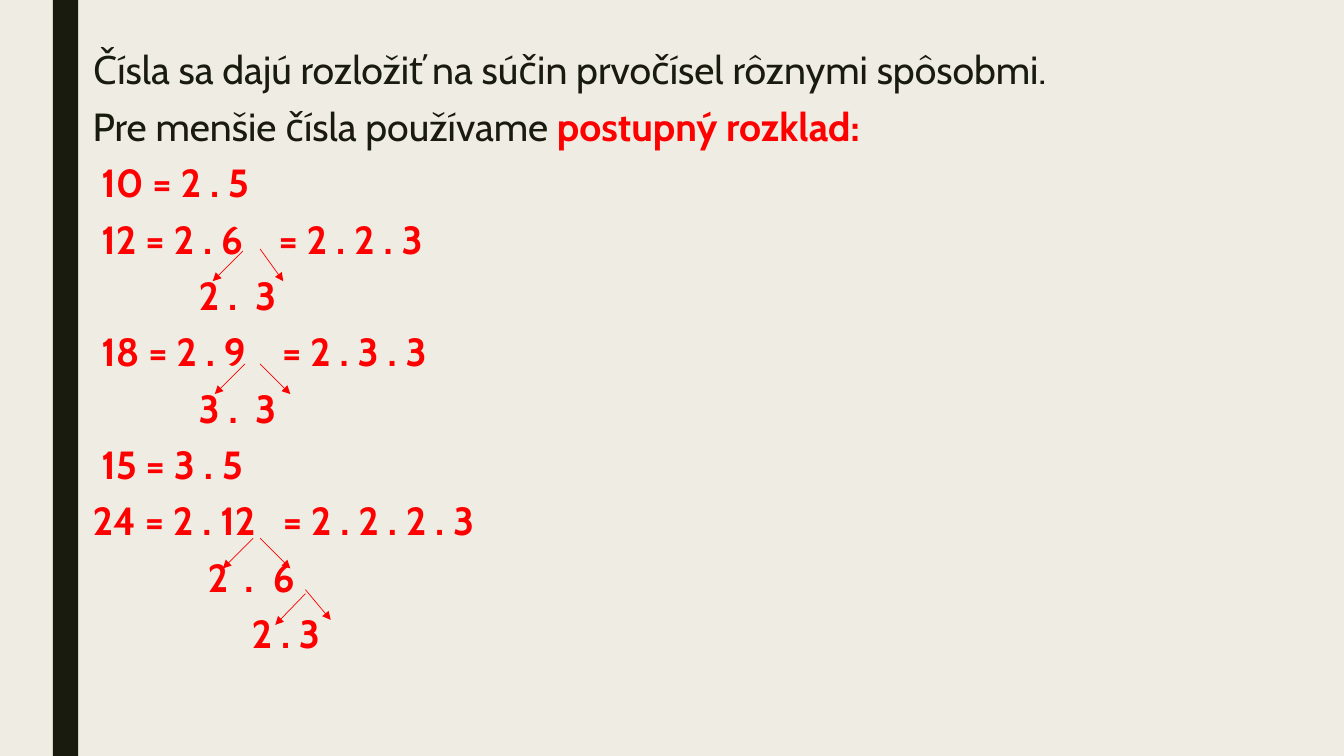
from lxml import etree
from pptx import Presentation
from pptx import util as u
from pptx.dml.color import RGBColor
from pptx.enum import shapes, text
from pptx.oxml.ns import qn

INK, RED, PAPER = "191B0E", "FF0000", "EFEDE3"


def rgb(code):
    """Turn a hex string into a colour."""
    return RGBColor.from_string(code)


class Deck:
    """Slide style and drawing methods, with lengths in percent of the slide."""

    def __init__(self):
        """Open a blank slide on the paper colour."""
        self.prs = Presentation()
        self.prs.slide_width, self.prs.slide_height = u.Inches(13.333), u.Inches(7.5)
        self.font, self.size = "Cabin", u.Pt(28)
        self.s = self.prs.slides.add_slide(self.prs.slide_layouts[6])
        self.s.background.fill.solid()
        self.s.background.fill.fore_color.rgb = rgb(PAPER)

    def x(self, share):
        """Convert a share of the width."""
        return round(self.prs.slide_width * share / 100)

    def y(self, share):
        """Convert a share of the height."""
        return round(self.prs.slide_height * share / 100)

    def bar(self, left, top, width, height, color):
        """Draw a plain filled rectangle."""
        sp = self.s.shapes.add_shape(shapes.MSO_SHAPE.RECTANGLE, self.x(left),
                                     self.y(top), self.x(width), self.y(height))
        sp.shadow.inherit = False
        sp.fill.solid()
        sp.fill.fore_color.rgb = rgb(color)
        sp.line.fill.background()

    def body(self, left, top, width, height, lines):
        """Write lines given as tab stops and coloured runs."""
        sp = self.s.shapes.add_textbox(self.x(left), self.y(top),
                                       self.x(width), self.y(height))
        tf = sp.text_frame
        tf.word_wrap = True
        tf.vertical_anchor = text.MSO_ANCHOR.TOP
        for i, (stops, runs) in enumerate(lines):
            p = tf.add_paragraph() if i else tf.paragraphs[0]
            if stops:
                tabs = etree.SubElement(p._p.get_or_add_pPr(), qn("a:tabLst"))
                for stop in stops:
                    etree.SubElement(tabs, qn("a:tab"), pos=str(self.x(stop)), algn="l")
            p.line_spacing = 0.84
            p.space_before = u.Pt(10 if i else 0)
            p.space_after = u.Pt(2)
            for words, color in runs:
                r = p.add_run()
                r.text = words
                r.font.name, r.font.size = self.font, self.size
                r.font.bold = color == RED
                r.font.color.rgb = rgb(color)

    def arrow(self, left, top, dx, dy, color):
        """Draw a thin arrow from a point by an offset."""
        c = self.s.shapes.add_connector(shapes.MSO_CONNECTOR.STRAIGHT, self.x(left),
                                        self.y(top), self.x(left + dx), self.y(top + dy))
        c.line.color.rgb = rgb(color)
        c.line.width = u.Pt(0.5)
        etree.SubElement(c.line._get_or_add_ln(), qn("a:tailEnd"), type="triangle")
        etree.SubElement(c._element.spPr, qn("a:effectLst"))


def main():
    """Build the slide about splitting numbers into primes."""
    deck = Deck()
    deck.bar(3.93, 0, 1.88, 100, INK)
    steps = [
        ([0.66], "\t10 = 2 . 5"),
        ([0.66, 13.84], "\t12 = 2 . 6\t= 2 . 2 . 3"),
        ([7.9, 12.1], "\t2 .\t3"),
        ([0.66, 14.1], "\t18 = 2 . 9\t= 2 . 3 . 3"),
        ([7.9, 12.1], "\t3 .\t3"),
        ([0.66], "\t15 = 3 . 5"),
        ([14.15], "24 = 2 . 12\t= 2 . 2 . 2 . 3"),
        ([8.56, 11.3, 13.4], "\t2\t.\t6"),
        ([11.83], "\t2 . 3"),
    ]
    intro = [
        ([], [("Čísla sa dajú rozložiť na súčin prvočísel rôznymi spôsobmi.", INK)]),
        ([], [("Pre menšie čísla používame ", INK), ("postupný rozklad:", RED)]),
    ]
    deck.body(6.15, 6.4, 93.85, 93.6,
              intro + [(stops, [(words, RED)]) for stops, words in steps])
    for left, top, dx, dy in [
        (18.08, 33.2, -2.25, 4), (19.35, 32.93, 1.73, 4.27),
        (18.23, 48.13, -2.25, 4), (19.35, 48.13, 2.25, 4),
        (18.83, 71.2, -2.25, 4), (19.35, 71.2, 2.25, 4),
        (22.73, 78.53, -2.25, 4.13), (22.73, 78, 1.88, 4),
    ]:
        deck.arrow(left, top, dx, dy, RED)
    deck.prs.save("out.pptx")


if __name__ == "__main__":
    main()
